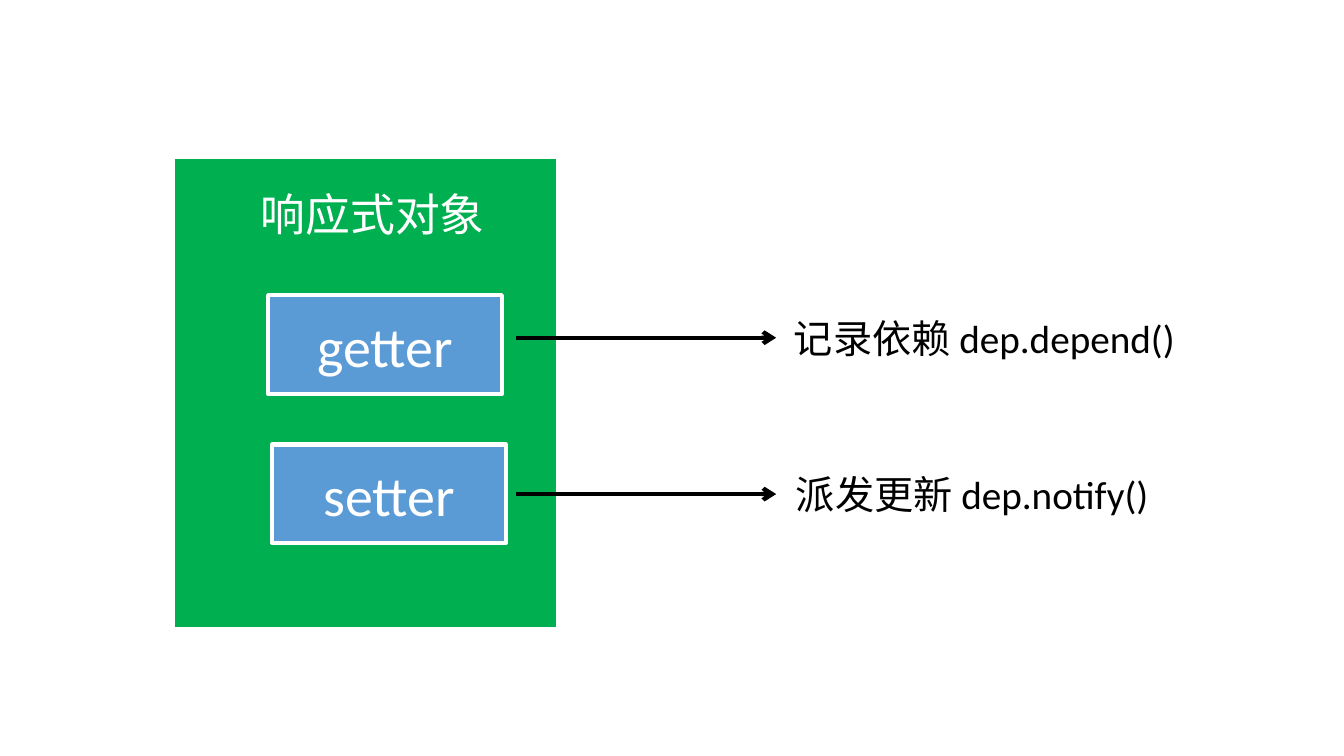
from lxml.etree import SubElement
from pptx import Presentation
from pptx.dml.color import RGBColor
from pptx.enum.shapes import MSO_CONNECTOR, MSO_SHAPE
from pptx.enum.text import MSO_ANCHOR, PP_ALIGN
from pptx.oxml.ns import qn
from pptx.util import Cm, Pt

WHITE, BLACK, GREEN, BLUE = "FFFFFF", "000000", "00B050", "5B9BD5"


def add_box(left, top, width, height, fill, line_width):
    box = slide.shapes.add_shape(
        MSO_SHAPE.RECTANGLE, Cm(left), Cm(top), Cm(width), Cm(height))
    box.shadow.inherit = False
    box.fill.solid()
    box.fill.fore_color.rgb = RGBColor.from_string(fill)
    box.line.color.rgb = RGBColor.from_string(WHITE)
    box.line.width = Pt(line_width)
    return box


def write(shape, text, size, color, align=PP_ALIGN.LEFT):
    shape.text_frame.word_wrap = True
    para = shape.text_frame.paragraphs[0]
    para.text = text
    para.alignment = align
    font = para.runs[0].font
    font.name = "Calibri"
    font.size = Pt(size)
    font.color.rgb = RGBColor.from_string(color)


deck = Presentation()
deck.slide_width, deck.slide_height = Cm(33.87), Cm(19.05)
slide = deck.slides.add_slide(deck.slide_layouts[6])

# Reactive object with its title
add_box(4.39, 3.99, 9.65, 11.84, GREEN, 1)
title = slide.shapes.add_textbox(Cm(6.32), Cm(4.57), Cm(6.43), Cm(1.63))
write(title, "响应式对象", 32, WHITE)

# Accessor name, left, top; arrow height; effect text, left, top
accessors = [
    ("getter", 6.76, 7.44, 8.51, "记录依赖 dep.depend()", 19.76, 7.8),
    ("setter", 6.86, 11.2, 12.45, "派发更新 dep.notify()", 19.81, 11.73),
]
for name, left, top, arrow_y, effect, effect_left, effect_top in accessors:
    accessor = add_box(left, top, 5.89, 2.49, BLUE, 3)
    accessor.text_frame.vertical_anchor = MSO_ANCHOR.MIDDLE
    write(accessor, name, 40, WHITE, PP_ALIGN.CENTER)

    arrow = slide.shapes.add_connector(
        MSO_CONNECTOR.STRAIGHT, Cm(13), Cm(arrow_y), Cm(19.56), Cm(arrow_y))
    arrow.line.color.rgb = RGBColor.from_string(BLACK)
    arrow.line.width = Pt(3)
    SubElement(arrow.line._get_or_add_ln(), qn("a:tailEnd"), type="arrow")
    SubElement(arrow._element.spPr, qn("a:effectLst"))

    label = slide.shapes.add_textbox(
        Cm(effect_left), Cm(effect_top), Cm(10.41), Cm(1.45))
    write(label, effect, 28, BLACK)

deck.save("out.pptx")
